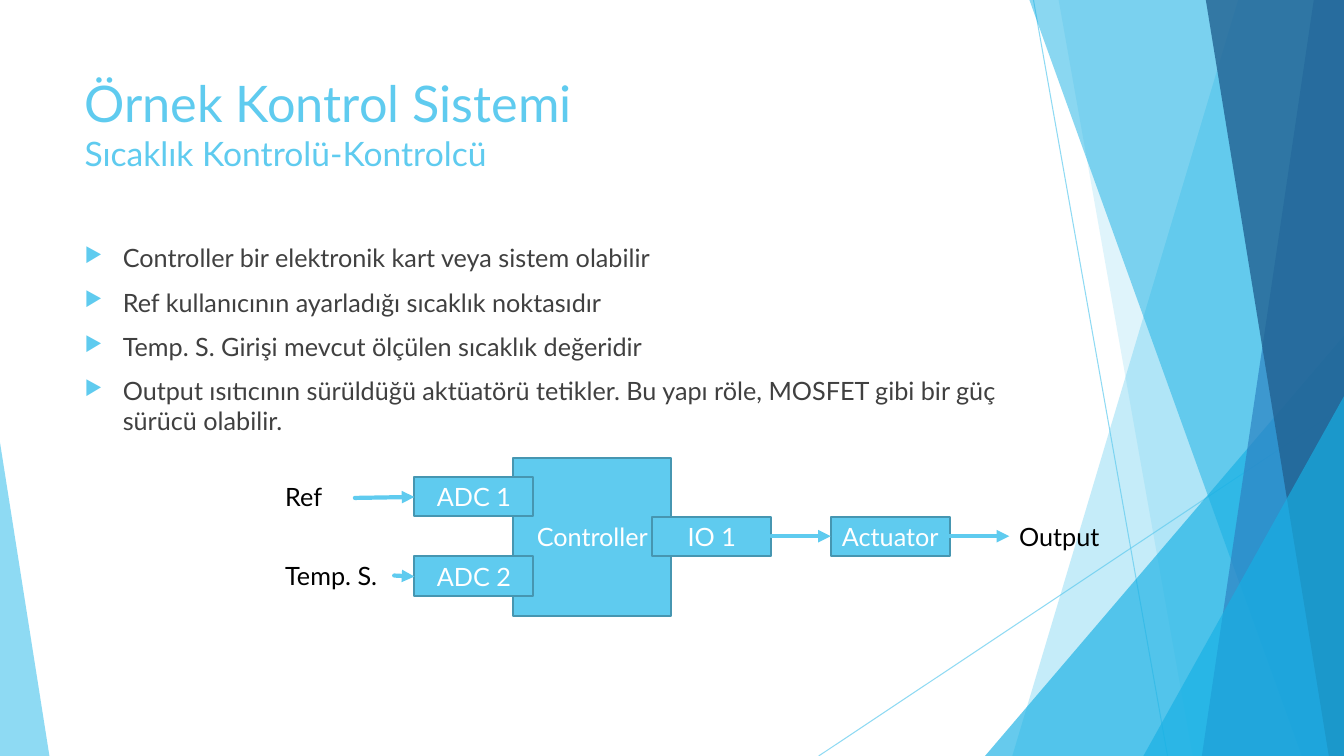
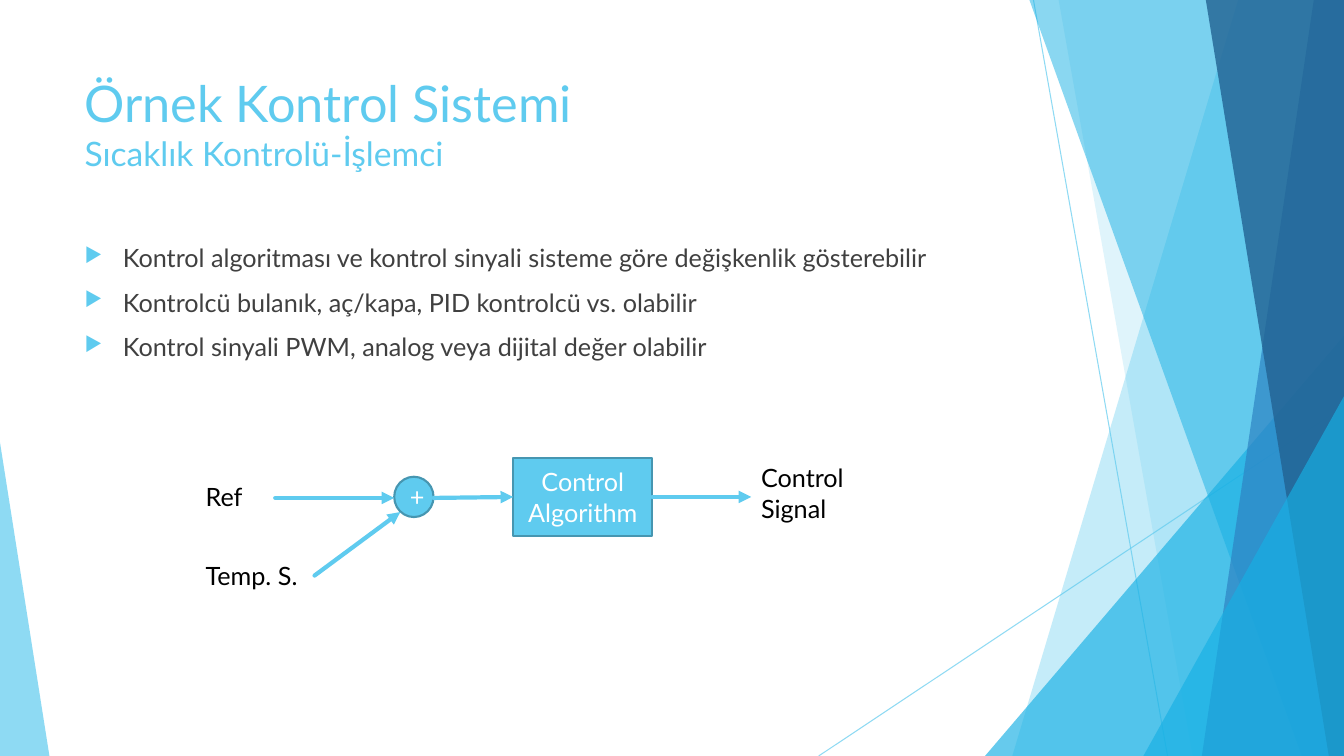
from lxml import etree
from pptx import Presentation
from pptx import util as u
from pptx.dml.color import RGBColor
from pptx.enum import shapes, text
from pptx.oxml.ns import qn

W, H = 13.33, 7.5
FONT = "Lato"
COLORS = {
    "sky": "5FCBEF", "cyan": "17B0E4", "blue": "2E83C3", "navy": "226292",
    "edge": "4696B1", "body": "404040", "black": "000000", "white": "FFFFFF",
}
RECT = shapes.MSO_SHAPE.RECTANGLE
OVAL = shapes.MSO_SHAPE.OVAL

# Shared background, back to front: lines, slanted bands and triangles
SLANTED_LINES = [((10.25, 0), (11.58, H)), ((W, 4.03), (8.12, H))]
BANDS = [
    # ("band", (top x, bottom x)) runs to the right edge;
    # ("triangle", (left, top, width, apex)) stands on the bottom edge
    ("band", (12.28, 10.04), "sky", 36),
    ("band", (10.5, 11.83), "sky", 20),
    ("triangle", (9.77, 3.33, 3.56, 1), "cyan", 66),
    ("band", (10.21, 12.91), "cyan", 50),
    ("band", (13.03, 11.92), "blue", 70),
    ("band", (11.96, 13.18), "navy", 80),
    ("triangle", (11.34, 3.93, 1.99, 1), "cyan", 66),
    ("triangle", (0, 4.39, 0.49, 0), "sky", 70),
]

SLIDES = [
    {
        "subtitle": "Sıcaklık Kontrolü-Kontrolcü",
        "bullets": [
            "Controller bir elektronik kart veya sistem olabilir",
            "Ref kullanıcının ayarladığı sıcaklık noktasıdır",
            "Temp. S. Girişi mevcut ölçülen sıcaklık değeridir",
            "Output ısıtıcının sürüldüğü aktüatörü tetikler. Bu yapı röle, "
            "MOSFET gibi bir güç sürücü olabilir.",
        ],
        "blocks": [
            (RECT, "Controller", 5.09, 4.54, 1.57, 1.57),
            (RECT, "ADC 1", 4.11, 4.73, 1.18, 0.39),
            (RECT, "ADC 2", 4.11, 5.52, 1.18, 0.39),
            (RECT, "IO 1", 6.47, 5.13, 1.18, 0.39),
            (RECT, "Actuator", 8.24, 5.13, 1.18, 0.39),
        ],
        "labels": [
            ("Ref", 2.73, 4.73, 0.79, 0.4),
            ("Temp. S.", 2.73, 5.51, 1.18, 0.4),
            ("Output", 10.01, 5.12, 1.11, 0.4),
        ],
        "arrows": [
            ((3.52, 4.94), (4.11, 4.93)),
            ((3.91, 5.71), (4.11, 5.72)),
            ((7.65, 5.32), (8.24, 5.32)),
            ((9.42, 5.32), (10.01, 5.32)),
        ],
    },
    {
        "subtitle": "Sıcaklık Kontrolü-İşlemci",
        "bullets": [
            "Kontrol algoritması ve kontrol sinyali sisteme göre değişkenlik "
            "gösterebilir",
            "Kontrolcü bulanık, aç/kapa, PID kontrolcü vs. olabilir",
            "Kontrol sinyali PWM, analog veya dijital değer olabilir",
        ],
        "blocks": [
            (OVAL, "+", 3.91, 4.73, 0.39, 0.4),
            (RECT, "Control Algorithm", 5.09, 4.54, 1.38, 0.78),
        ],
        "labels": [
            ("Ref", 1.94, 4.73, 0.79, 0.4),
            ("Temp. S.", 1.94, 5.51, 1.18, 0.4),
            ("Control Signal", 7.45, 4.54, 1.57, 0.71),
        ],
        "arrows": [
            ((2.73, 4.94), (3.91, 4.94)),
            ((3.12, 5.71), (3.97, 5.08)),
            ((4.3, 4.94), (5.09, 4.93)),
            ((6.47, 4.93), (7.45, 4.93)),
        ],
    },
]


def add_run(p, words, color, size=18):
    """Add one run in the deck's font."""
    r = p.add_run()
    r.text = words
    r.font.name = FONT
    r.font.size = u.Pt(size)
    r.font.color.rgb = RGBColor.from_string(COLORS[color])


def add_line(s, start, end, width):
    """Add a straight sky-coloured line without a shadow."""
    ends = [u.Inches(v) for v in start + end]
    line = s.shapes.add_connector(shapes.MSO_CONNECTOR.STRAIGHT, *ends)
    line.line.color.rgb = RGBColor.from_string(COLORS["sky"])
    line.line.width = u.Pt(width)
    etree.SubElement(line._element.spPr, qn("a:effectLst"))
    return line


prs = Presentation()
prs.slide_width, prs.slide_height = u.Inches(W), u.Inches(H)

for page in SLIDES:
    s = prs.slides.add_slide(prs.slide_layouts[6])

    # Background
    backdrop = [(add_line(s, a, b, 0.75), 70) for a, b in SLANTED_LINES]
    for kind, place, color, opacity in BANDS:
        if kind == "band":
            top_x, bottom_x = place
            outline = s.shapes.build_freeform(
                u.Inches(top_x), 0, scale=1.0)
            outline.add_line_segments(
                [(u.Inches(x), u.Inches(y))
                 for x, y in ((W, 0), (W, H), (bottom_x, H))])
            sp = outline.convert_to_shape()
        else:
            left, top, width, apex = place
            sp = s.shapes.add_shape(
                shapes.MSO_SHAPE.ISOSCELES_TRIANGLE, u.Inches(left),
                u.Inches(top), u.Inches(width), u.Inches(H - top))
            sp.adjustments[0] = apex
        sp.shadow.inherit = False
        sp.fill.solid()
        sp.fill.fore_color.rgb = RGBColor.from_string(COLORS[color])
        sp.line.fill.background()
        backdrop.append((sp, opacity))
    for sp, opacity in backdrop:
        for tint in list(sp._element.spPr.iter(qn("a:srgbClr"))):
            etree.SubElement(tint, qn("a:alpha"), val=str(opacity * 1000))

    # Title
    tf = s.shapes.add_textbox(u.Inches(0.74), u.Inches(0.67),
                              u.Inches(9.4), u.Inches(1.44)).text_frame
    tf.word_wrap = True
    p = tf.paragraphs[0]
    add_run(p, "Örnek Kontrol Sistemi", "sky", 36)
    p.add_line_break()
    add_run(p, page["subtitle"], "sky", 24)

    # Bullets
    tf = s.shapes.add_textbox(u.Inches(0.74), u.Inches(2.36),
                              u.Inches(9.4), u.Inches(4.24)).text_frame
    tf.word_wrap = True
    for i, words in enumerate(page["bullets"]):
        p = tf.add_paragraph() if i else tf.paragraphs[0]
        p.space_before = u.Pt(10)
        pPr = p._p.get_or_add_pPr()
        pPr.set("marL", str(u.Inches(0.38)))
        pPr.set("indent", str(u.Inches(-0.38)))
        tint = etree.SubElement(pPr, qn("a:buClr"))
        etree.SubElement(tint, qn("a:srgbClr"), val=COLORS["sky"])
        etree.SubElement(pPr, qn("a:buSzPct"), val="80000")
        etree.SubElement(pPr, qn("a:buChar"), char="▶")
        add_run(p, words, "body")

    # Block diagram
    for shape, words, *box in page["blocks"]:
        sp = s.shapes.add_shape(shape, *[u.Inches(v) for v in box])
        sp.shadow.inherit = False
        sp.fill.solid()
        sp.fill.fore_color.rgb = RGBColor.from_string(COLORS["sky"])
        sp.line.color.rgb = RGBColor.from_string(COLORS["edge"])
        sp.line.width = u.Pt(1.5)
        tf = sp.text_frame
        tf.vertical_anchor = text.MSO_ANCHOR.MIDDLE
        tf.paragraphs[0].alignment = text.PP_ALIGN.CENTER
        add_run(tf.paragraphs[0], words, "white")
    for words, *box in page["labels"]:
        tf = s.shapes.add_textbox(*[u.Inches(v) for v in box]).text_frame
        tf.word_wrap = True
        add_run(tf.paragraphs[0], words, "black")
    for start, end in page["arrows"]:
        ln = add_line(s, start, end, 3).line._get_or_add_ln()
        ln.set("cap", "rnd")
        etree.SubElement(ln, qn("a:tailEnd"), type="triangle")

prs.save("out.pptx")
